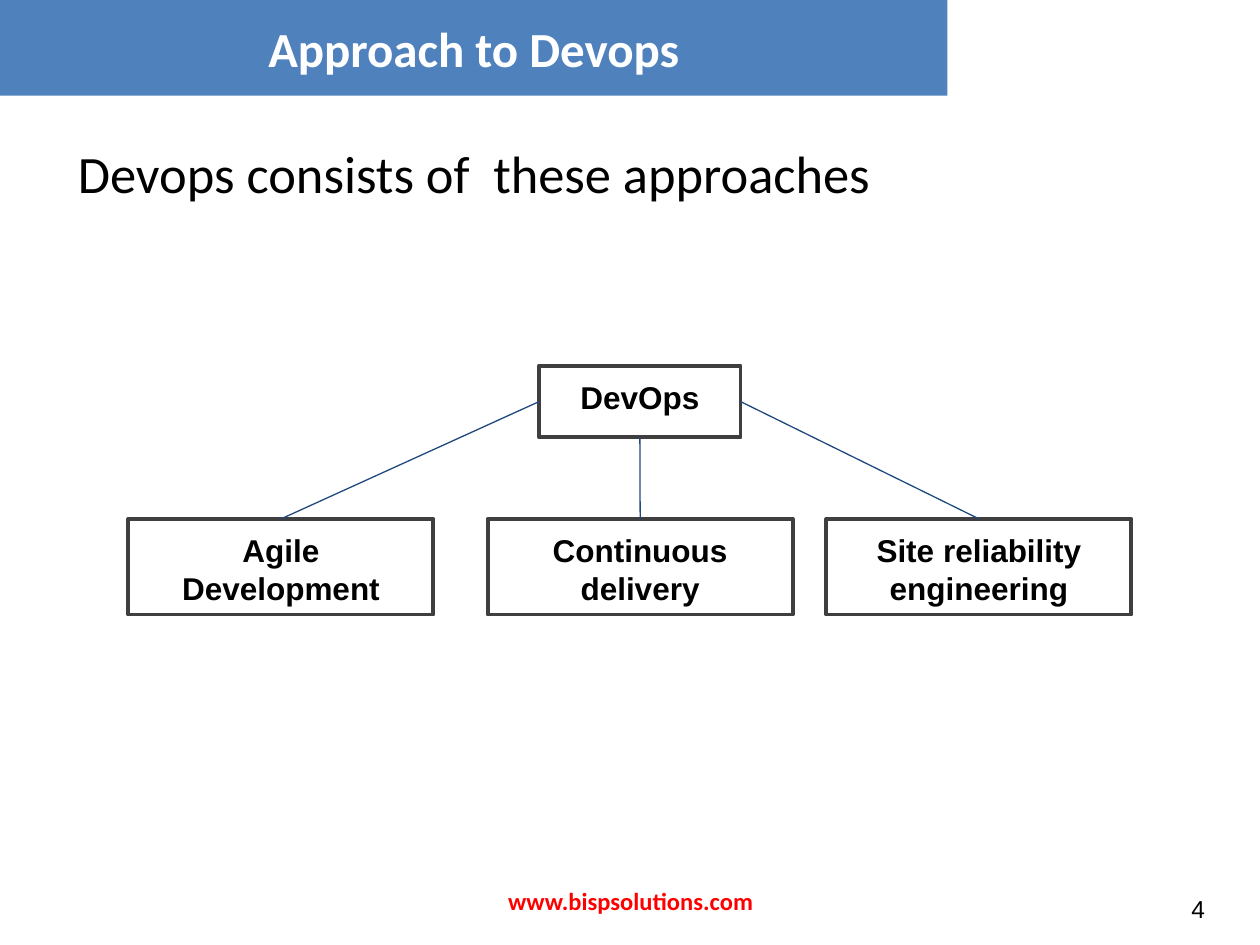
from pptx import Presentation
from pptx.dml.color import RGBColor
from pptx.enum.shapes import MSO_CONNECTOR as Connector, MSO_SHAPE as Shape
from pptx.enum.text import MSO_ANCHOR as Anchor, PP_ALIGN as Align
from pptx.oxml.ns import qn
from pptx.util import Cm, Pt
from lxml.etree import SubElement

TOP, LEFT, BOTTOM, RIGHT = range(4)  # connection sites of a rectangle


def color(hex_text):
    return RGBColor.from_string(hex_text)


def write(box, text, size, font="Calibri", ink="000000", bold=False,
          align=Align.LEFT, anchor=Anchor.MIDDLE, inset=0.13):
    frame = box.text_frame
    frame.word_wrap = True
    frame.vertical_anchor = anchor
    frame.margin_left = frame.margin_right = Cm(0.25)
    frame.margin_top = frame.margin_bottom = Cm(inset)
    para = frame.paragraphs[0]
    para.text = text
    para.alignment = align
    para.font.name = font
    para.font.size = Pt(size)
    para.font.bold = bold
    para.font.color.rgb = color(ink)


def add_text(page, place, text, size, **style):
    box = page.shapes.add_textbox(*map(Cm, place))
    write(box, text, size, **style)


def add_rectangle(page, place):
    box = page.shapes.add_shape(Shape.RECTANGLE, *map(Cm, place))
    box.shadow.inherit = False
    return box


def add_banner(page, place, text):
    box = add_rectangle(page, place)
    box.fill.solid()
    box.fill.fore_color.rgb = color("4F81BD")
    box.line.fill.background()
    write(box, text, 28, ink="FFFFFF", bold=True, align=Align.CENTER)


def add_node(page, place, text):
    box = add_rectangle(page, place)
    box.fill.background()
    box.line.color.rgb = color("3F3F3F")
    box.line.width = Pt(2.25)
    write(box, text, 18, font="Arial", bold=True, align=Align.CENTER,
          anchor=Anchor.TOP, inset=0.25)
    return box


def add_link(page, parent, site, child):
    link = page.shapes.add_connector(Connector.STRAIGHT, 0, 0, 0, 0)
    link.begin_connect(parent, site)
    link.end_connect(child, TOP)
    link.line.color.rgb = color("1F497D")
    link.line.width = Pt(0.75)
    SubElement(link._element.spPr, qn("a:effectLst"))


def main():
    deck = Presentation()
    deck.slide_width, deck.slide_height = Cm(25.4), Cm(19.05)
    page = deck.slides.add_slide(deck.slide_layouts[6])

    # Heading and introduction
    add_text(page, (1.32, 2.72, 23.42, 14.12),
             "Devops consists of  these approaches", 30, anchor=Anchor.TOP)
    add_banner(page, (0, 0, 19.1, 1.93), "Approach to Devops")

    # Footer and page number
    add_text(page, (8.69, 17.65, 8.05, 1.02), "www.bispsolutions.com", 14,
             ink="FF0000", bold=True, align=Align.CENTER)
    add_text(page, (23.77, 17.6, 1.52, 1.45), "4", 14, font="Arial", inset=0.25)

    # Tree of approaches
    root = add_node(page, (10.87, 7.37, 4.06, 1.45), "DevOps")
    approaches = [
        (2.59, "Agile Development", LEFT),
        (9.83, "Continuous delivery", BOTTOM),
        (16.66, "Site reliability engineering", RIGHT),
    ]
    for left, text, site in approaches:
        approach = add_node(page, (left, 10.46, 6.15, 1.93), text)
        add_link(page, root, site, approach)

    deck.save("out.pptx")


if __name__ == "__main__":
    main()
